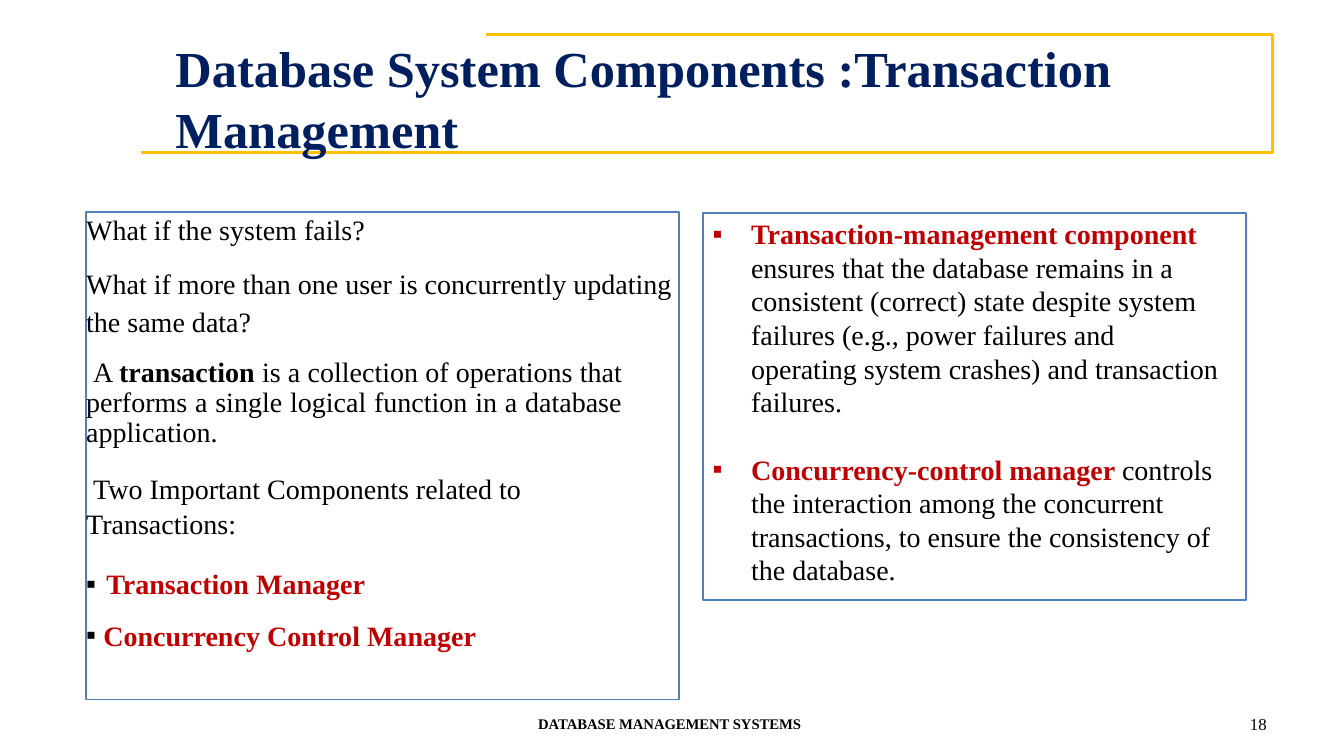
from lxml import etree
from pptx import Presentation
from pptx.dml.color import RGBColor
from pptx.enum.text import MSO_ANCHOR, MSO_AUTO_SIZE, PP_ALIGN
from pptx.oxml.ns import qn
from pptx.util import Inches, Pt

NAVY = RGBColor(0x00, 0x1F, 0x5F)
GOLD = RGBColor(0xFF, 0xC1, 0x00)
BLUE = RGBColor(0x4F, 0x81, 0xBC)
RED = RGBColor(0xC0, 0x00, 0x00)
BLACK = RGBColor(0x00, 0x00, 0x00)
WHITE = RGBColor(0xFF, 0xFF, 0xFF)
LEFT, JUSTIFY = PP_ALIGN.LEFT, PP_ALIGN.JUSTIFY
TOP, NO_FIT = MSO_ANCHOR.TOP, MSO_AUTO_SIZE.NONE
FONT = "Times New Roman"
WIDTH, HEIGHT = Inches(13.33), Inches(7.5)
TWO_CONTENT = 3

FRAME_PATH = [(36.15, 4.53), (94.7, 4.53), (94.7, 20.13), (10.5, 20.13)]
TITLE_BOX = (5.33, 3.47, 89.78, 17.87)
QUESTIONS_BOX = (6.41, 28, 44.1, 64.53)
COMPONENTS_BOX = (52.28, 28.13, 40.43, 51.2)
FOOTER_BOX = (39.97, 94.13, 20.1, 2.67)
NUMBER_BOX = (92.7, 94, 2.03, 2.8)

QUESTIONS = [
    dict(spans=[("What if the system fails?", False)]),
    dict(spans=[("What if more than one user is concurrently updating", False)],
         format=dict(line_spacing=1.13, space_before=Pt(11.5))),
    dict(spans=[("the same data?", False)], format=dict(line_spacing=1.13)),
    dict(spans=[("A ", False), ("transaction ", True),
                ("is a collection of operations that performs a single logical "
                 "function in a database application.", False)],
         indent=0.07, right=0.56,
         format=dict(alignment=JUSTIFY, line_spacing=0.89, space_before=Pt(14.7))),
    dict(spans=[("Two Important Components related to Transactions:", False)],
         indent=0.07, right=0.56,
         format=dict(line_spacing=1.05, space_before=Pt(15.2))),
    dict(spans=[("Transaction Manager", True)], color=RED, bullet=BLACK,
         margin=0.2, indent=-0.2, format=dict(space_before=Pt(18.6))),
    dict(spans=[("Concurrency Control Manager", True)], color=RED, bullet=BLACK,
         margin=0.17, indent=-0.17, format=dict(space_before=Pt(13))),
]
COMPONENTS = [
    dict(spans=[("Transaction-management component ", True),
                ("ensures that the database remains in a consistent (correct) state "
                 "despite system failures (e.g., power failures and operating system "
                 "crashes) and transaction failures.", False)],
         strong=RED, bullet=RED, margin=0.48, indent=-0.38, right=0.23),
    dict(spans=[("Concurrency-control manager ", True),
                ("controls the interaction among the concurrent transactions, to ensure "
                 "the consistency of the database.", False)],
         strong=RED, bullet=RED, margin=0.48, indent=-0.38, right=0.23,
         format=dict(space_before=Pt(24))),
]


def share(x, y):
    return int(WIDTH * x / 100), int(HEIGHT * y / 100)


def apply(target, values):
    for name, value in values.items():
        setattr(target, name, value)


def place(shape, box):
    left, top = share(*box[:2])
    width, height = share(*box[2:])
    apply(shape, dict(left=left, top=top, width=width, height=height))


def set_bullet(properties, color):
    if color is None:
        etree.SubElement(properties, qn("a:buNone"))
        return
    tint = etree.SubElement(properties, qn("a:buClr"))
    etree.SubElement(tint, qn("a:srgbClr"), val=str(color))
    etree.SubElement(properties, qn("a:buChar"), char="▪")


def write_paragraph(para, item, size):
    properties = para._p.get_or_add_pPr()
    for name, key in (("marL", "margin"), ("marR", "right"), ("indent", "indent")):
        properties.set(name, str(Inches(item.get(key, 0))))
    set_bullet(properties, item.get("bullet"))
    apply(para, dict(alignment=LEFT, line_spacing=1.0, space_before=Pt(0),
                     space_after=Pt(0)) | item.get("format", {}))
    color = item.get("color", BLACK)
    for text, bold in item["spans"]:
        span = para.add_run()
        span.text = text
        apply(span.font, dict(name=FONT, size=Pt(size), bold=bold))
        span.font.color.rgb = item.get("strong", color) if bold else color


def write_text(shape, box, items, size, inset=0):
    place(shape, box)
    frame = shape.text_frame
    apply(frame, dict(word_wrap=True, auto_size=NO_FIT, vertical_anchor=TOP,
                      margin_left=0, margin_right=0, margin_bottom=0,
                      margin_top=Inches(inset)))
    for number, item in enumerate(items):
        para = frame.add_paragraph() if number else frame.paragraphs[0]
        write_paragraph(para, item, size)


def draw_title(page):
    points = [share(*point) for point in FRAME_PATH]
    builder = page.shapes.build_freeform(*points[0])
    builder.add_line_segments(points[1:], close=False)
    frame = builder.convert_to_shape()
    frame.shadow.inherit = False
    frame.fill.background()
    frame.line.color.rgb = GOLD
    frame.line.width = Pt(2)
    page.shapes._spTree.insert(2, frame._element)
    heading = dict(spans=[("Database System Components :Transaction Management", True)],
                   color=NAVY, margin=1.03)
    write_text(page.shapes.title, TITLE_BOX, [heading], 36, inset=0.11)


def draw_panel(panel, box, items, inset):
    write_text(panel, box, items, 20, inset)
    panel.fill.solid()
    panel.fill.fore_color.rgb = WHITE
    panel.line.color.rgb = BLUE
    panel.line.width = Pt(1.25)


def draw_footer(page):
    entries = [
        (FOOTER_BOX, "DATABASE MANAGEMENT SYSTEMS", True, 10.5, 0.01, 1.19),
        (NUMBER_BOX, "18", False, 12, 0.04, 1.17),
    ]
    for box, text, bold, size, margin, spacing in entries:
        item = dict(spans=[(text, bold)], margin=margin,
                    format=dict(line_spacing=spacing))
        write_text(page.shapes.add_textbox(0, 0, 0, 0), box, [item], size)


def main():
    deck = Presentation()
    apply(deck, dict(slide_width=WIDTH, slide_height=HEIGHT))
    page = deck.slides.add_slide(deck.slide_layouts[TWO_CONTENT])
    draw_title(page)
    draw_panel(page.placeholders[1], QUESTIONS_BOX, QUESTIONS, 0.01)
    draw_panel(page.placeholders[2], COMPONENTS_BOX, COMPONENTS, 0.04)
    draw_footer(page)
    deck.save("out.pptx")


if __name__ == "__main__":
    main()
